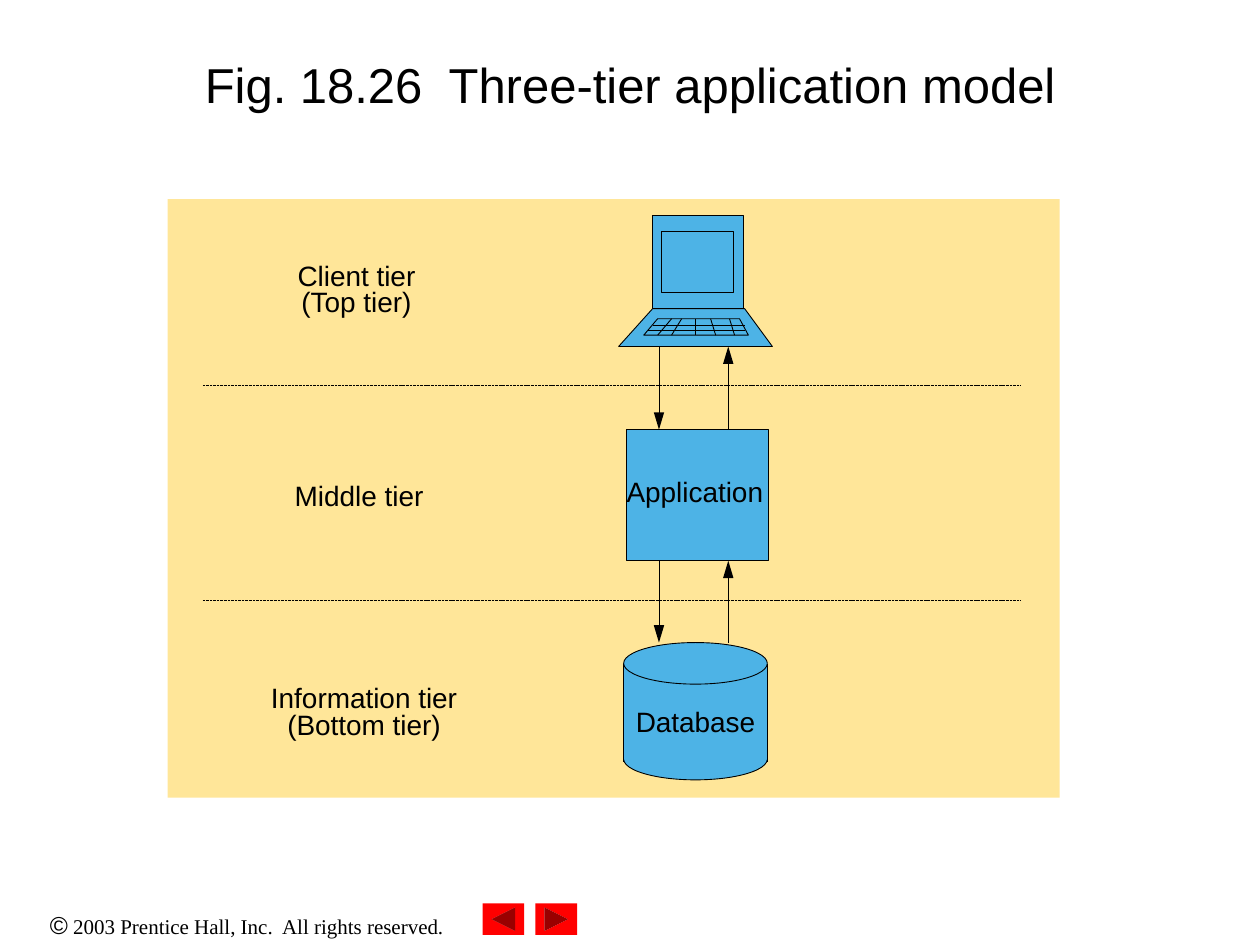
from dataclasses import dataclass

from lxml import etree
from pptx import Presentation
from pptx.dml.color import RGBColor
from pptx.enum.dml import MSO_LINE
from pptx.enum.shapes import MSO_CONNECTOR, MSO_SHAPE
from pptx.enum.text import MSO_ANCHOR, MSO_AUTO_SIZE, PP_ALIGN
from pptx.oxml.ns import qn
from pptx.util import Inches, Pt

RECTANGLE = MSO_SHAPE.RECTANGLE
ELLIPSE = MSO_SHAPE.OVAL
BACK_BUTTON = MSO_SHAPE.ACTION_BUTTON_BACK_OR_PREVIOUS
FORWARD_BUTTON = MSO_SHAPE.ACTION_BUTTON_FORWARD_OR_NEXT
STRAIGHT = MSO_CONNECTOR.STRAIGHT
DASHED = MSO_LINE.SQUARE_DOT
CENTER = PP_ALIGN.CENTER
MIDDLE = MSO_ANCHOR.MIDDLE
NO_AUTOFIT = MSO_AUTO_SIZE.NONE

BLACK = "000000"
BLUE = "4DB3E6"
SAND = "FFE699"
RED = "FF0000"


@dataclass(frozen=True)
class Box:
    """Position and size in inches."""

    left: float
    top: float
    width: float
    height: float

    def lengths(self) -> tuple:
        """Return the four values as slide lengths."""
        return tuple(Inches(value) for value in (self.left, self.top, self.width, self.height))


@dataclass(frozen=True)
class Label:
    """Centred lines of text in a box."""

    box: Box
    lines: tuple[str, ...]


LABELS = (
    Label(Box(2.16, 2.1, 1.34, 0.43), ("Client tier", "(Top tier)")),
    Label(Box(2.24, 3.85, 1.22, 0.17), ("Middle tier",)),
    Label(Box(2.12, 5.45, 1.54, 0.44), ("Information tier", "(Bottom tier)")),
    Label(Box(4.95, 3.82, 1.13, 0.24), ("Application",)),
    Label(Box(5.01, 5.64, 1.02, 0.2), ("Database",)),
)
KEYBOARD_OUTLINE = ((5.22, 2.53), (5.87, 2.53), (5.94, 2.66), (5.11, 2.66))
LAPTOP_BASE = ((5.18, 2.45), (5.91, 2.45), (6.13, 2.75), (4.91, 2.75))
KEY_COLUMNS = ((5.33, 5.22), (5.41, 5.33), (5.52, 5.52), (5.64, 5.68), (5.79, 5.83))
KEY_ROWS = ((2.58, 5.18, 5.91), (2.62, 5.14, 5.91))
ARROW_SPANS = ((2.75, 3.41), (4.45, 5.1))
DIVIDER_TOPS = (3.06, 4.76)


def rgb(color: str) -> RGBColor:
    """Turn a hex string into a colour."""
    return RGBColor.from_string(color)


def add_run(paragraph, text: str, *, size: float, font: str = "Arial", color: str = BLACK) -> None:
    """Append formatted text to a paragraph."""
    run = paragraph.add_run()
    run.text = text
    run.font.size = Pt(size)
    run.font.name = font
    run.font.color.rgb = rgb(color)


def paint(shape, fill: str, line: str | None) -> None:
    """Give a shape a flat fill and a thin or absent outline."""
    shape.shadow.inherit = False
    shape.fill.solid()
    shape.fill.fore_color.rgb = rgb(fill)
    if line is None:
        shape.line.fill.background()
    else:
        shape.line.color.rgb = rgb(line)
        shape.line.width = Pt(0.5)


def add_preset(slide, kind, box: Box, fill: str = BLUE, line: str | None = BLACK) -> None:
    """Draw a preset shape."""
    paint(slide.shapes.add_shape(kind, *box.lengths()), fill, line)


def add_polygon(slide, points: tuple) -> None:
    """Draw a closed blue outline through points in inches."""
    corners = [(Inches(x), Inches(y)) for x, y in points]
    builder = slide.shapes.build_freeform(*corners[0])
    builder.add_line_segments(corners[1:], close=True)
    paint(builder.convert_to_shape(), BLUE, BLACK)


def add_line(slide, start: tuple, end: tuple, *, width: float = 0.5, dash=None, arrow: bool = False) -> None:
    """Draw a straight black line, with an arrowhead at its end if asked."""
    connector = slide.shapes.add_connector(STRAIGHT, *(Inches(value) for value in start + end))
    connector.line.color.rgb = rgb(BLACK)
    connector.line.width = Pt(width)
    if dash is not None:
        connector.line.dash_style = dash
    if arrow:
        outline = connector.line._get_or_add_ln()
        etree.SubElement(outline, qn("a:tailEnd"), type="triangle", w="med", len="lg")
    etree.SubElement(connector._element.spPr, qn("a:effectLst"))


def add_text_frame(slide, box: Box, margins: tuple[float, float] = (0, 0)):
    """Add a wrapping text box and return its frame."""
    frame = slide.shapes.add_textbox(*box.lengths()).text_frame
    frame.word_wrap = True
    frame.margin_left = frame.margin_right = Inches(margins[0])
    frame.margin_top = frame.margin_bottom = Inches(margins[1])
    return frame


def add_label(slide, label: Label) -> None:
    """Write a tier or component label."""
    frame = add_text_frame(slide, label.box)
    for index, line in enumerate(label.lines):
        paragraph = frame.add_paragraph() if index else frame.paragraphs[0]
        paragraph.alignment = CENTER
        paragraph.line_spacing = 0.8
        add_run(paragraph, line, size=16)


def add_title(slide) -> None:
    """Place and fill the title placeholder."""
    title = slide.shapes.title
    title.left, title.top, title.width, title.height = Box(0.75, 0.08, 8.5, 1.17).lengths()
    frame = title.text_frame
    frame.auto_size = NO_AUTOFIT
    frame.vertical_anchor = MIDDLE
    frame.paragraphs[0].alignment = CENTER
    add_run(frame.paragraphs[0], "Fig. 18.26  Three-tier application model", size=28)


def add_footer(slide) -> None:
    """Draw the copyright line and the two navigation buttons."""
    paragraph = add_text_frame(slide, Box(0, 7.17, 3.92, 0.34), (0.1, 0.05)).paragraphs[0]
    paragraph.alignment = CENTER
    add_run(paragraph, "©", size=14)
    add_run(paragraph, " 2003 Prentice Hall, Inc.  All rights reserved.", size=12, font="Times New Roman")
    for kind, left in ((BACK_BUTTON, 3.83), (FORWARD_BUTTON, 4.25)):
        add_preset(slide, kind, Box(left, 7.17, 0.33, 0.25), RED, None)


def add_laptop(slide) -> None:
    """Draw the client computer."""
    add_preset(slide, RECTANGLE, Box(5.18, 1.71, 0.72, 0.74))
    add_preset(slide, RECTANGLE, Box(5.25, 1.84, 0.57, 0.48))
    add_polygon(slide, LAPTOP_BASE)
    add_polygon(slide, KEYBOARD_OUTLINE)
    for top_x, bottom_x in KEY_COLUMNS:
        add_line(slide, (top_x, 2.53), (bottom_x, 2.66))
    for y, left, right in KEY_ROWS:
        add_line(slide, (left, y), (right, y))


def add_database(slide) -> None:
    """Draw the database cylinder."""
    add_preset(slide, ELLIPSE, Box(4.95, 5.86, 1.14, 0.33))
    add_preset(slide, RECTANGLE, Box(4.95, 5.27, 1.14, 0.76), line=None)
    add_preset(slide, ELLIPSE, Box(4.95, 5.1, 1.14, 0.33))
    for x in (4.95, 6.09):
        add_line(slide, (x, 5.27), (x, 6.05))


def main() -> None:
    """Build the three-tier slide and save it."""
    presentation = Presentation()
    presentation.slide_width, presentation.slide_height = Inches(10), Inches(7.5)
    slide = presentation.slides.add_slide(presentation.slide_layouts[5])
    add_footer(slide)
    add_title(slide)
    add_preset(slide, RECTANGLE, Box(1.33, 1.58, 7.08, 4.75), SAND, None)
    add_laptop(slide)
    add_preset(slide, RECTANGLE, Box(4.97, 3.41, 1.13, 1.04))
    add_database(slide)
    for label in LABELS:
        add_label(slide, label)
    for top, bottom in ARROW_SPANS:
        add_line(slide, (5.23, top), (5.23, bottom), arrow=True)
        add_line(slide, (5.78, bottom), (5.78, top), arrow=True)
    for y in DIVIDER_TOPS:
        add_line(slide, (1.61, y), (8.1, y), width=0.2, dash=DASHED)
    presentation.save("out.pptx")


if __name__ == "__main__":
    main()
